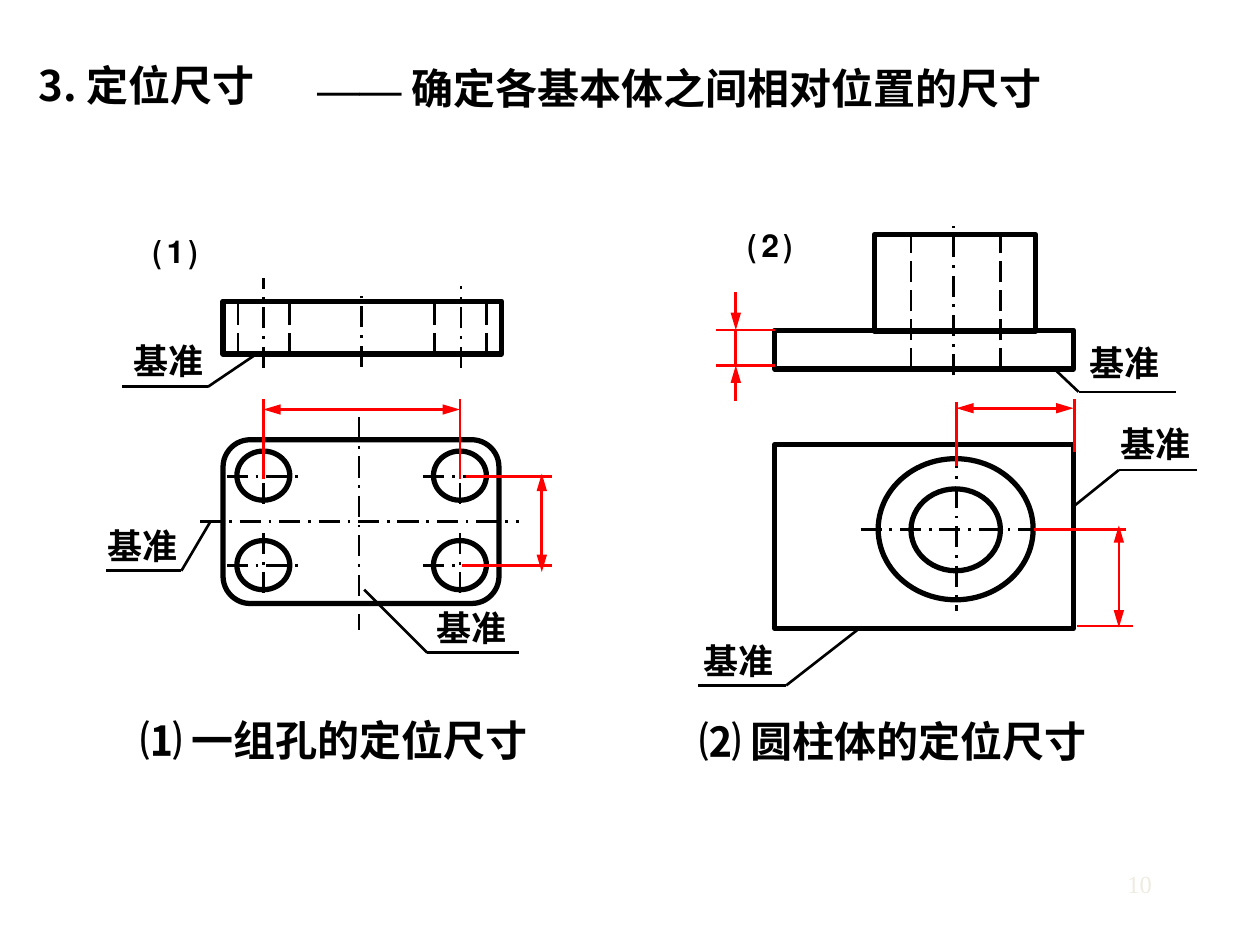
from lxml import etree
from pptx import Presentation
from pptx.dml.color import RGBColor
from pptx.enum.dml import MSO_LINE
from pptx.enum.shapes import MSO_CONNECTOR, MSO_SHAPE
from pptx.enum.text import MSO_ANCHOR, PP_ALIGN
from pptx.oxml.ns import qn
from pptx.util import Inches, Pt

LINE = MSO_CONNECTOR.STRAIGHT
RECT, ROUND, OVAL = MSO_SHAPE.RECTANGLE, MSO_SHAPE.ROUNDED_RECTANGLE, MSO_SHAPE.OVAL
DASH, CHAIN = MSO_LINE.LONG_DASH, MSO_LINE.LONG_DASH_DOT
LEFT, MID, RIGHT = PP_ALIGN.LEFT, PP_ALIGN.CENTER, PP_ALIGN.RIGHT
BLACK, RED, PALE = "000000", "FF0000", "EEECE1"
SANS, ROMAN, ARIAL = "Noto Sans CJK SC", "Times New Roman", "Arial"
BIG = {"size": Pt(24), "bold": True}
SMALL = {"size": Pt(20), "bold": True}
PAGE = {"size": Pt(14), "bold": False}

texts = [
    ((0.21, 0.42, 9.61, 0.5), LEFT, [("3. 定位尺寸", SANS)], BIG, BLACK, True),
    ((2.42, 0.44, 7.02, 0.51), LEFT,
     [("—— ", ROMAN), ("确定各基本体之间相对位置的尺寸", SANS)], BIG, BLACK, True),
    ((1.12, 1.71, 0.54, 0.5), MID, [("⑴", ARIAL)], BIG, BLACK, False),
    ((5.84, 1.66, 0.54, 0.5), MID, [("⑵", ARIAL)], BIG, BLACK, False),
    ((0.59, 5.62, 4.12, 0.5), MID, [("⑴ 一组孔的定位尺寸", SANS)], BIG, BLACK, True),
    ((5.45, 5.63, 4.43, 0.5), LEFT, [("⑵ 圆柱体的定位尺寸", SANS)], BIG, BLACK, True),
    ((7.17, 6.83, 2.07, 0.36), RIGHT, [("10", ROMAN)], PAGE, PALE, True),
]
marks = [(0.75, 4.11), (3.36, 4.76), (0.95, 2.64), (8.54, 2.66), (5.48, 5.02), (8.79, 3.3)]
texts += [((x, y, 0.77, 0.44), MID, [("基准", SANS)], SMALL, BLACK, False) for x, y in marks]

holes = [(x, y) for x in (2.09, 3.65) for y in (3.78, 4.49)]
forms = [
    (ROUND, 1.77, 3.49, 2.19, 1.3), (RECT, 1.77, 2.39, 2.21, 0.42),
    (OVAL, 7.23, 3.88, 0.71, 0.65), (OVAL, 6.97, 3.64, 1.23, 1.12),
    (RECT, 6.15, 3.53, 2.37, 1.46), (RECT, 6.15, 2.62, 2.37, 0.31),
    (RECT, 6.94, 1.86, 1.28, 0.77),
] + [(OVAL, x - 0.21, y - 0.2, 0.42, 0.39) for x, y in holes]

axes = [
    (1.59, 4.14, 4.12, 4.14), (2.85, 3.31, 2.85, 5),
    (3.66, 2.92, 3.66, 2.27), (2.09, 2.92, 2.09, 2.21), (2.87, 2.91, 2.87, 2.29),
    (6.83, 4.2, 8.34, 4.2), (7.59, 3.55, 7.59, 4.85), (7.57, 2.98, 7.57, 1.76),
]
for x, y in holes:
    axes += [(x - 0.29, y, x + 0.31, y), (x, y - 0.26, x, y + 0.27)]
edges = [(x, 2.81, x, 2.39) for x in (1.89, 2.3, 3.45, 3.86)]
edges += [(x, 2.93, x, 1.85) for x in (7.23, 7.94)]

leads = [
    [(1.67, 4.14), (1.44, 4.53), (0.84, 4.53)],
    [(2.89, 4.68), (3.39, 5.18), (4.12, 5.18)],
    [(2.05, 2.8), (1.65, 3.07), (0.97, 3.07)],
    [(6.83, 4.98), (6.24, 5.44), (5.54, 5.44)],
    [(8.52, 4.02), (8.88, 3.73), (9.5, 3.73)],
    [(8.38, 2.94), (8.56, 3.11), (9.33, 3.11)],
]
hooks = [a + b for lead in leads for a, b in zip(lead, lead[1:])]

bounds = [
    (2.09, 3.8, 2.09, 3.17), (3.65, 3.8, 3.65, 3.17),
    (3.7, 3.78, 4.38, 3.78), (3.67, 4.49, 4.38, 4.49),
    (7.59, 3.7, 7.59, 3.19), (8.53, 3.59, 8.53, 3.17),
    (8.21, 4.2, 8.94, 4.2), (8.55, 4.97, 8.99, 4.97),
    (6.15, 2.62, 5.68, 2.62), (6.15, 2.9, 5.68, 2.9), (5.84, 2.62, 5.84, 2.9),
]
spans = [
    (2.09, 3.25, 3.65, 3.25), (4.3, 3.76, 4.3, 4.54),
    (7.59, 3.24, 8.52, 3.24), (8.88, 4.17, 8.88, 4.98),
]
points = [(5.84, 2.32, 5.84, 2.62), (5.84, 3.18, 5.84, 2.9)]

strokes = [
    (axes, BLACK, CHAIN, ()), (edges, BLACK, DASH, ()), (hooks, BLACK, None, ()),
    (bounds, RED, None, ()), (spans, RED, None, ("headEnd", "tailEnd")),
    (points, RED, None, ("tailEnd",)),
]


def tint(hue):
    return RGBColor.from_string(hue)


def draw(box, kind, *rect):
    form = box.add_shape(kind, *map(Inches, rect))
    form.shadow.inherit = False
    form.fill.background()
    form.line.color.rgb = tint(BLACK)
    form.line.width = Pt(3)


def rule(box, ends, hue, dash, tips):
    bar = box.add_connector(LINE, *map(Inches, ends))
    bar.line.color.rgb = tint(hue)
    bar.line.width = Pt(1.5)
    if dash:
        bar.line.dash_style = dash
    props = bar.line._get_or_add_ln()
    for tip in tips:
        etree.SubElement(props, qn("a:" + tip), type="triangle", w="med", len="lg")
    etree.SubElement(bar._element.spPr, qn("a:effectLst"))


def write(box, rect, align, runs, style, hue, wrap):
    frame = box.add_textbox(*map(Inches, rect)).text_frame
    frame.word_wrap = wrap
    frame.vertical_anchor = MSO_ANCHOR.MIDDLE
    para = frame.paragraphs[0]
    para.alignment = align
    for words, face in runs:
        run = para.add_run()
        run.text = words
        for key, val in {**style, "name": face}.items():
            setattr(run.font, key, val)
        run.font.color.rgb = tint(hue)
        etree.SubElement(run._r.get_or_add_rPr(), qn("a:ea"), typeface=face)


def main():
    deck = Presentation()
    deck.slide_width, deck.slide_height = Inches(10), Inches(7.5)
    box = deck.slides.add_slide(deck.slide_layouts[6]).shapes
    for form in forms:
        draw(box, *form)
    for lines, *look in strokes:
        for ends in lines:
            rule(box, ends, *look)
    for text in texts:
        write(box, *text)
    deck.save("out.pptx")


if __name__ == "__main__":
    main()
